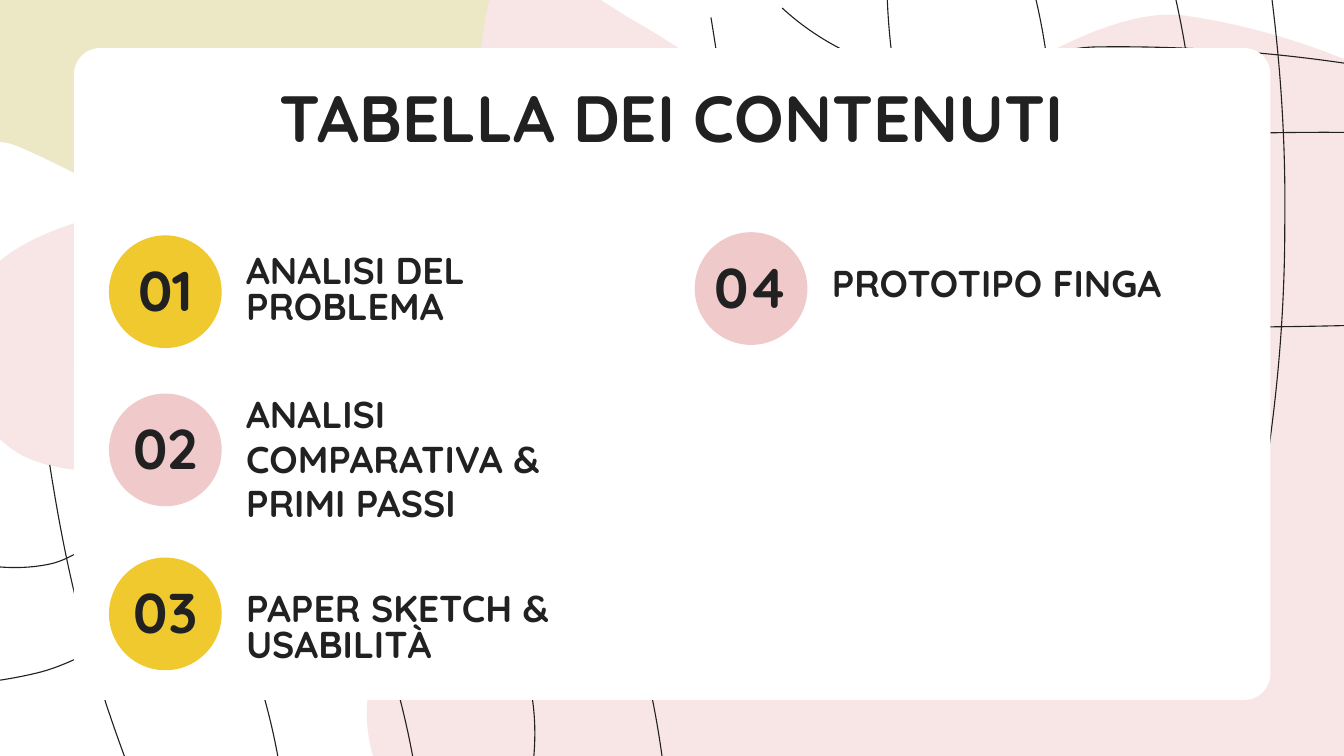
from pptx import Presentation
from pptx.dml.color import RGBColor
from pptx.enum.shapes import MSO_SHAPE
from pptx.enum.text import MSO_ANCHOR, MSO_AUTO_SIZE, PP_ALIGN
from pptx.oxml.ns import qn
from pptx.oxml.xmlchemy import OxmlElement
from pptx.util import Cm, Pt

OVAL, CARD = MSO_SHAPE.OVAL, MSO_SHAPE.ROUNDED_RECTANGLE
TOP, MIDDLE = MSO_ANCHOR.TOP, MSO_ANCHOR.MIDDLE
LEFT, CENTER = PP_ALIGN.LEFT, PP_ALIGN.CENTER
NO_FIT = MSO_AUTO_SIZE.NONE

FONT = "Quicksand"
INK, WHITE = "212121", "FFFFFF"
YELLOW, ROSE = "F0C92F", "F0CACA"
BLUSH, CREAM = "F8E6E6", "ECE7C4"
GRID = Cm(0.0254)  # unit of the curve points
DISC = 2.13

# Points that a smooth curve runs through
PINK = [(1000, 44), (884, 12), (827, 19), (637, 92), (471, 15), (320, -90),
        (278, -97), (166, -27), (170, 109), (4, 191), (-30, 262), (6, 332),
        (84, 352), (182, 346), (299, 404), (273, 526), (291, 594)]
SAND = [(-66, 117), (-14, 106), (11, 108), (126, 164), (257, 216), (351, 161),
        (357, 43), (378, -54)]
LINES = [
    # Lower left net
    [(151, 276), (132, 380), (183, 478), (210, 583)],
    [(240, 251), (229, 361), (280, 464), (309, 574)],
    [(397, 565), (392, 501), (363, 443), (361, 204)],
    [(494, 574), (467, 450), (417, 333), (436, 211)],
    [(-40, 413), (36, 420), (108, 385), (250, 388), (388, 372)],
    [(457, 402), (308, 466), (137, 458), (27, 501), (-89, 509)],
    [(37, 346), (60, 460), (96, 572)],
    # Upper right net
    [(754, 321), (783, 105), (757, -48)],
    [(861, -52), (890, 165), (845, 371)],
    [(936, 384), (956, 168), (939, -52)],
    [(660, -31), (670, 82), (703, 192), (655, 344)],
    [(529, 13), (542, 103), (553, 194)],
    [(582, 6), (691, 57), (815, 35), (1019, 50)],
    [(1030, 99), (755, 112), (595, 150), (441, 117)],
    [(576, 228), (796, 242), (1014, 242)],
]

# Number, label, colour, circle left and top, label top, line spacing
ITEMS = [
    ("01", "ANALISI DEL PROBLEMA", YELLOW, 2.06, 4.45, 4.83, 0.8),
    ("02", "ANALISI COMPARATIVA & PRIMI PASSI", ROSE, 2.06, 7.44, 7.39, 1.0),
    ("03", "PAPER SKETCH & USABILITÀ", YELLOW, 2.06, 10.54, 11.23, 0.8),
    ("04", "PROTOTIPO FINGA", ROSE, 13.13, 4.39, 5.08, 0.8),
]


def rgb(code):
    return RGBColor.from_string(code)


def paint(shape, fill=None, line=None):
    shape.shadow.inherit = False
    if fill:
        shape.fill.solid()
        shape.fill.fore_color.rgb = rgb(fill)
    else:
        shape.fill.background()
    if line:
        shape.line.color.rgb = rgb(line)
        shape.line.width = Pt(0.59)
    else:
        shape.line.fill.background()


def unit(a, b):
    return (b - a) / abs(b - a)


def smooth(points):
    """Give the Bezier points of a smooth curve, three for each step."""
    dots = [complex(*p) for p in points]
    ways = [unit(a, b) for a, b in zip(dots, dots[2:])]
    # Each end mirrors its neighbour's direction about the chord
    head, tail = unit(*dots[:2]), unit(*dots[-2:])
    ways = [head ** 2 * ways[0].conjugate(), *ways,
            tail ** 2 * ways[-1].conjugate()]
    out = []
    for a, b, go, come in zip(dots, dots[1:], ways, ways[1:]):
        arm = abs(b - a) / 3
        out += [a + go * arm, b - come * arm, b]
    return [(round(p.real), round(p.imag)) for p in out]


def add_curve(slide, points, fill=None, line=None, corner=None):
    pen = slide.shapes.build_freeform(*points[0], scale=GRID)
    ends = [corner] if corner else []
    pen.add_line_segments(smooth(points) + ends, close=bool(fill))
    shape = pen.convert_to_shape()
    # Turn each three straight steps into one Bezier step
    steps = list(shape._element.iter(qn("a:lnTo")))
    for i in range(0, len(steps) - 2, 3):
        bend = OxmlElement("a:cubicBezTo")
        steps[i].addprevious(bend)
        for step in steps[i:i + 3]:
            bend.append(step[0])
            step.getparent().remove(step)
    paint(shape, fill, line)


def add_shape(slide, kind, box, fill):
    shape = slide.shapes.add_shape(kind, *map(Cm, box))
    paint(shape, fill)
    return shape


def put_text(shape, box, text, size, align=LEFT, anchor=TOP, gap=1.0):
    shape.left, shape.top, shape.width, shape.height = map(Cm, box)
    frame = shape.text_frame
    frame.word_wrap = True
    frame.auto_size = NO_FIT
    frame.vertical_anchor = anchor
    frame.margin_left = frame.margin_right = 0
    frame.margin_top = frame.margin_bottom = 0
    para = frame.paragraphs[0]
    para.alignment, para.line_spacing = align, gap
    para.space_before = para.space_after = Pt(0)
    props = para._p.get_or_add_pPr()
    props.set("marL", "0")
    props.set("indent", "0")
    props.append(OxmlElement("a:buNone"))
    run = para.add_run()
    run.text = text
    font = run.font
    font.name, font.size, font.bold = FONT, Pt(size), True
    font.color.rgb = rgb(INK)


def raise_up(shape):
    node = shape._element
    node.getparent().append(node)


def add_item(slide, label, item):
    num, text, color, x, y, top, gap = item
    add_shape(slide, OVAL, (x, y, DISC, DISC), color)
    box = (x + 0.13, y + 0.04, 1.88, 1.96)
    tag = slide.shapes.add_textbox(*map(Cm, box))
    put_text(tag, box, num, 30, CENTER, MIDDLE)
    raise_up(label)
    put_text(label, (x + 2.59, top, 7.62, 0.71), text, 20, gap=gap)


def main():
    deck = Presentation()
    deck.slide_width, deck.slide_height = Cm(25.4), Cm(14.29)
    # The comparison layout has a title and four bodies
    slide = deck.slides.add_slide(deck.slide_layouts[4])
    title, *labels = list(slide.placeholders)

    # Backdrop
    add_curve(slide, PINK, fill=BLUSH, corner=(1000, 594))
    add_curve(slide, SAND, fill=CREAM, corner=(-66, -54))
    for points in LINES:
        add_curve(slide, points, line=INK)
    card = add_shape(slide, CARD, (1.4, 0.91, 22.61, 12.32), WHITE)
    card.adjustments[0] = 0.04

    # Contents
    raise_up(title)
    put_text(title, (1.98, 1.45, 21.44, 1.6), "TABELLA DEI CONTENUTI", 35, CENTER)
    for label, item in zip(labels, ITEMS):
        add_item(slide, label, item)

    deck.save("out.pptx")


if __name__ == "__main__":
    main()
